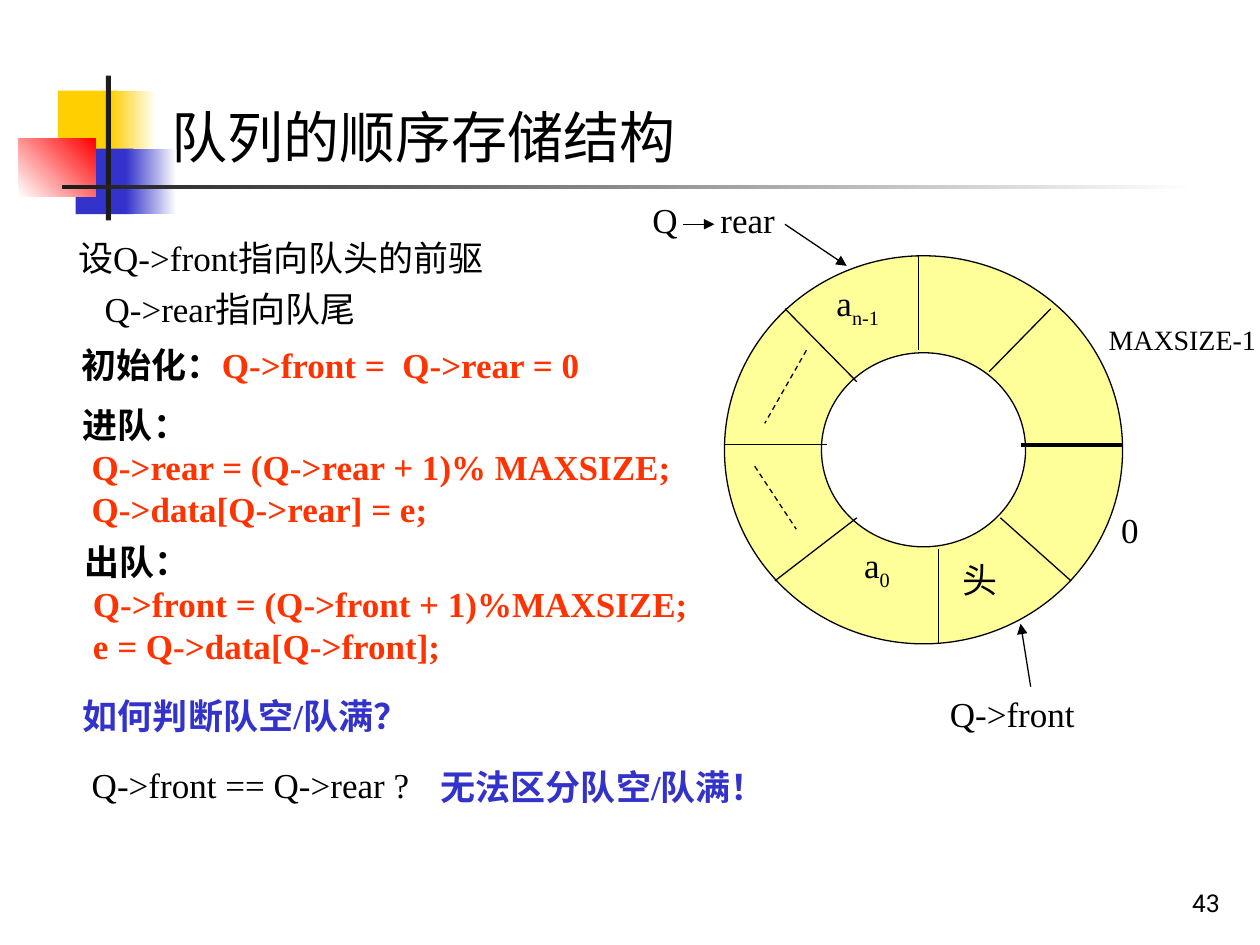
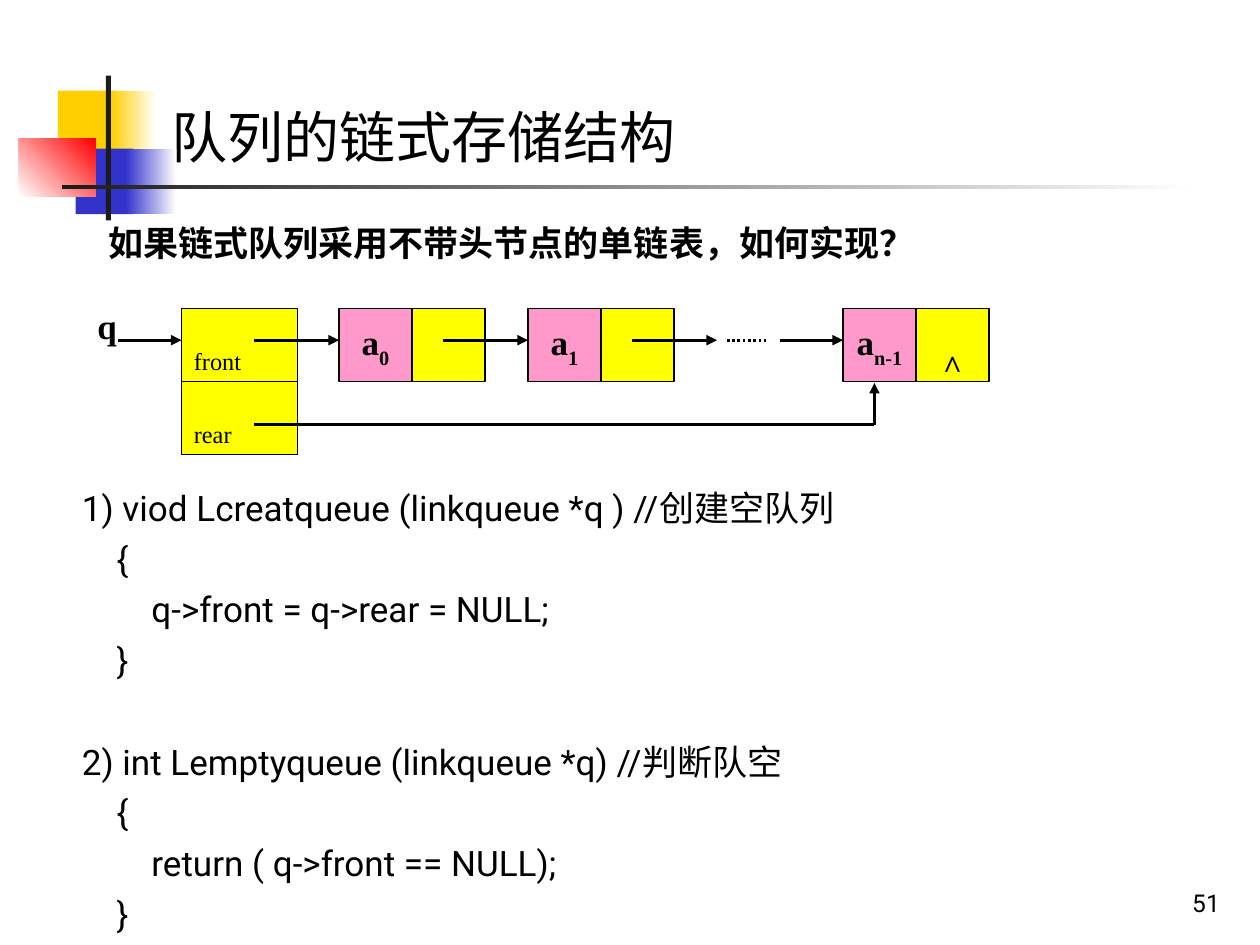
from dataclasses import dataclass, replace

from pptx import Presentation
from pptx.dml.color import RGBColor
from pptx.enum.dml import MSO_LINE
from pptx.enum.shapes import MSO_CONNECTOR, MSO_SHAPE
from pptx.enum.text import MSO_ANCHOR, MSO_AUTO_SIZE, PP_ALIGN
from pptx.oxml.ns import qn
from pptx.oxml.xmlchemy import OxmlElement
from pptx.util import Emu, Pt

SCALE = 9144  # EMU in one px, 100 px to the inch
LEFT, MID, RIGHT = PP_ALIGN.LEFT, PP_ALIGN.CENTER, PP_ALIGN.RIGHT


@dataclass(frozen=True)
class Theme:
    black: str = "000000"
    white: str = "FFFFFF"
    dark: str = "1C1C1C"
    gold: str = "FFCF01"
    blue: str = "3333CC"
    red: str = "FF0000"
    code: str = "FF3300"
    ring: str = "FFFF99"
    pink: str = "FF99CC"
    yellow: str = "FFFF00"
    serif: str = "Times New Roman"
    sans: str = "Roboto"
    cjk: str = "Noto Sans CJK JP"
    title: int = 32
    mark: int = 24
    text: int = 20
    small: int = 16
    page: int = 14


T = Theme()


@dataclass(frozen=True)
class Style:
    font: str = T.serif
    size: int = T.text
    color: str = T.black
    bold: bool = False
    base: int = 0  # percent of the baseline shift


PLAIN = Style()
BOLD = replace(PLAIN, bold=True)
CODE = replace(BOLD, color=T.code)
ASK = replace(BOLD, color=T.blue)
SUB = replace(PLAIN, base=-25)
SANS = replace(PLAIN, font=T.sans)
TITLE = Style(T.cjk, T.title)
FIELD = replace(PLAIN, size=T.mark, base=-30)


def px(n):
    return Emu(round(n * SCALE))


def rgb(code):
    return RGBColor.from_string(code)


def add_run(para, text, style):
    run = para.add_run()
    run.text = text
    font = run.font
    font.name, font.size, font.bold = style.font, Pt(style.size), style.bold
    font.color.rgb = rgb(style.color)
    props = run._r.get_or_add_rPr()
    if style.base:
        props.set("baseline", str(style.base * 1000))
    east = OxmlElement("a:ea")
    east.set("typeface", T.cjk)
    props.find(qn("a:latin")).addnext(east)


def write(frame, lines, align=LEFT, anchor=MSO_ANCHOR.TOP, wrap=True,
          gaps=(), indents=(), lead=1.2):
    """Fill a frame with lines, each a list of (text, style) runs."""
    frame.word_wrap = wrap
    frame.auto_size = MSO_AUTO_SIZE.NONE
    frame.vertical_anchor = anchor
    frame.margin_left = frame.margin_right = px(10)
    frame.margin_top = frame.margin_bottom = px(5)
    for i, runs in enumerate(lines):
        para = frame.paragraphs[0] if i == 0 else frame.add_paragraph()
        props = para._p.get_or_add_pPr()
        props.set("marL", str(px(indents[i] if indents else 0)))
        props.set("indent", "0")
        props.append(OxmlElement("a:buNone"))
        para.alignment = align
        para.space_before = Pt(gaps[i] if gaps else 0)
        if lead:
            para.line_spacing = Pt(lead * runs[0][1].size)
        for text, style in runs:
            add_run(para, text, style)


def place(shape, left, top, width, height):
    shape.left, shape.top = px(left), px(top)
    shape.width, shape.height = px(width), px(height)


class Pane:
    """A region of a slide; parts are placed from its top left corner."""

    def __init__(self, slide, left=0, top=0):
        self.shapes, self.left, self.top = slide.shapes, left, top

    def spot(self, x, y):
        return px(self.left + x), px(self.top + y)

    def label(self, x, y, w, h, lines, **look):
        box = self.shapes.add_textbox(*self.spot(x, y), px(w), px(h))
        write(box.text_frame, lines, **look)

    def block(self, x, y, w, h, fill, edge=None, kind=MSO_SHAPE.RECTANGLE):
        shape = self.shapes.add_shape(kind, *self.spot(x, y), px(w), px(h))
        shape.shadow.inherit = False
        shape.fill.solid()
        shape.fill.fore_color.rgb = rgb(fill)
        if edge:
            shape.line.color.rgb = rgb(edge)
            shape.line.width = Pt(0.75)
        else:
            shape.line.fill.background()
        return shape

    def fade(self, x, y, w, h, start, end, angle=0):
        fill = self.block(x, y, w, h, start).fill
        fill.gradient()
        fill.gradient_angle = angle
        for stop, color in zip(fill.gradient_stops, (start, end)):
            stop.color.rgb = rgb(color)

    def cell(self, x, y, w, h, fill, runs=(), align=MID):
        shape = self.block(x, y, w, h, fill, T.black)
        if runs:
            write(shape.text_frame, [runs], align, MSO_ANCHOR.MIDDLE,
                  wrap=False, lead=None)

    def line(self, x1, y1, x2, y2, width=0.75, head=False, dash=None):
        link = self.shapes.add_connector(
            MSO_CONNECTOR.STRAIGHT, *self.spot(x1, y1), *self.spot(x2, y2))
        link.line.color.rgb = rgb(T.black)
        link.line.width = Pt(width)
        if dash:
            link.line.dash_style = dash
        props = link.element.spPr
        if head:
            tip = OxmlElement("a:tailEnd")
            tip.set("type", "triangle")
            props.find(qn("a:ln")).append(tip)
        props.append(OxmlElement("a:effectLst"))


def emblem(slide, left, top):
    """Coloured squares and crossing bars beside the title."""
    pane = Pane(slide, left, top)
    pane.block(31, 12, 48, 52, T.gold)
    pane.fade(73, 12, 36, 52, T.gold, T.white)
    pane.block(45, 58, 46, 52, T.blue)
    pane.fade(85, 58, 40, 52, T.blue, T.white)
    pane.fade(0, 50, 61, 46, T.white, T.red, 45)
    pane.block(69, 0, 4, 115, T.dark)
    pane.fade(34, 87, 900, 3, T.dark, T.white)


def start(deck, title, page):
    """Add a slide with the shared title, emblem and page number."""
    slide = deck.slides.add_slide(deck.slide_layouts[1])
    emblem(slide, 15, 60)
    place(slide.shapes.title, 126, 76, 874, 64)
    write(slide.shapes.title.text_frame, [[(title, TITLE)]])
    Pane(slide).label(770, 683, 208, 50, [[(page, replace(SANS, size=T.page))]],
                      align=RIGHT, anchor=MSO_ANCHOR.BOTTOM)
    return slide


def body(slide, box, lines, **look):
    holder = slide.placeholders[1]
    place(holder, *box)
    write(holder.text_frame, lines, **look)


def steps(slide, left, top):
    """Queue operations and the closing question."""
    pane = Pane(slide, left, top)
    pane.label(0, 0, 468, 44, [[("初始化：", BOLD),
                                ("Q->front =  Q->rear = 0", CODE)]])
    for x, y, name, code in (
            (1, 47, "进队：", (" Q->rear = (Q->rear + 1)% MAXSIZE;",
                            " Q->data[Q->rear] = e;")),
            (2, 156, "出队：", (" Q->front = (Q->front + 1)%MAXSIZE;",
                             " e = Q->data[Q->front];"))):
        pane.label(x, y, 512, 110,
                   [[(name, BOLD)]] + [[(row, CODE)] for row in code])
    pane.label(1, 278, 310, 44, [[("如何判断队空/队满？", ASK)]])
    pane.label(8, 333, 286, 44, [[("Q->front == Q->rear ?", PLAIN)]])
    pane.label(285, 335, 310, 44, [[("无法区分队空/队满！", ASK)]])


def circle(slide, left, top):
    """Circular array with its pointers."""
    pane = Pane(slide, left, top)
    ring = pane.block(67, 50, 316, 308, T.ring, T.black, MSO_SHAPE.DONUT)
    ring.adjustments[0] = 0.25
    for spoke in ((237, 283, 237, 358), (221, 50, 221, 125),
                  (67, 200, 148, 200), (326, 92, 277, 142),
                  (107, 308, 172, 258), (286, 258, 342, 308),
                  (115, 92, 172, 150)):
        pane.line(*spoke)
    pane.line(302, 200, 383, 200, 2.25)
    for gap in ((132, 125, 99, 183), (91, 217, 124, 267)):
        pane.line(*gap, dash=MSO_LINE.DASH)
    for arrow in ((34, 25, 59, 25), (115, 25, 164, 58), (310, 392, 302, 342)):
        pane.line(*arrow, head=True)
    for x, y, w, runs in (
            (0, 0, 40, [("Q", PLAIN)]),
            (54, 0, 70, [("rear", PLAIN)]),
            (146, 70, 92, [("a", PLAIN), ("n-1", SUB)]),
            (168, 278, 57, [("a", PLAIN), ("0", SUB)]),
            (246, 285, 50, [("头", PLAIN)]),
            (372, 246, 40, [("0", PLAIN)]),
            (236, 392, 130, [("Q->front", PLAIN)])):
        pane.label(x, y, w, 44, [runs])
    pane.label(362, 98, 130, 37, [[("MAXSIZE-1", replace(PLAIN, size=T.small))]],
               wrap=False)


def chain(slide, left, top):
    """Linked list with front and rear pointers."""
    pane = Pane(slide, left, top)
    side, row, step = 58, 8, 150
    sub = replace(BOLD, base=-30)
    pane.label(0, 0, 50, 44, [[("q", BOLD)]], align=MID)
    for i, name in enumerate(("front", "rear")):
        pane.cell(84, row + i * side, 92, side, T.yellow, [(name, FIELD)], LEFT)
    caret = [("^", replace(sub, size=T.title))]
    for x, index, link in ((209, "0", ()), (359, "1", ()), (609, "n-1", caret)):
        pane.cell(x, row, side, side, T.pink, [("a", BOLD), (index, sub)])
        pane.cell(x + side, row, side, side, T.yellow, link)
    spans = [(142 + i * step, 67) for i in range(3)] + [(34, 50), (559, 50)]
    for x, size in spans:
        pane.line(x, 33, x + size, 33, 1.5, head=True)
    pane.line(517, 33, 550, 33, 1.5, dash=MSO_LINE.ROUND_DOT)
    pane.line(142, 100, 634, 100, 1.5)
    pane.line(634, 100, 634, 67, 1.5, head=True)


def array_slide(deck):
    slide = start(deck, "队列的顺序存储结构", "43")
    body(slide, (52, 183, 420, 84),
         [[("设Q->front指向队头的前驱", PLAIN)], [("Q->rear指向队尾", PLAIN)]],
         gaps=(0, 5), indents=(0, 21))
    steps(slide, 55, 268)
    circle(slide, 508, 153)


def linked_slide(deck):
    slide = start(deck, "队列的链式存储结构", "51")
    Pane(slide).label(
        76, 171, 821, 63,
        [[("如果链式队列采用不带头节点的单链表，如何实现？", replace(SANS, bold=True))]])
    chain(slide, 60, 237)
    code = ("1) viod Lcreatqueue (linkqueue *q ) //创建空队列",
            "    {",
            "        q->front = q->rear = NULL;",
            "    }",
            "2) int Lemptyqueue (linkqueue *q) //判断队空",
            "    {",
            "        return ( q->front == NULL);",
            "    }")
    body(slide, (55, 381, 927, 369), [[(row, SANS)] for row in code],
         gaps=(0, 5, 5, 5, 34, 5, 5, 5))


def main():
    deck = Presentation()
    deck.slide_width, deck.slide_height = px(1000), px(750)
    array_slide(deck)
    linked_slide(deck)
    deck.save("out.pptx")


if __name__ == "__main__":
    main()
